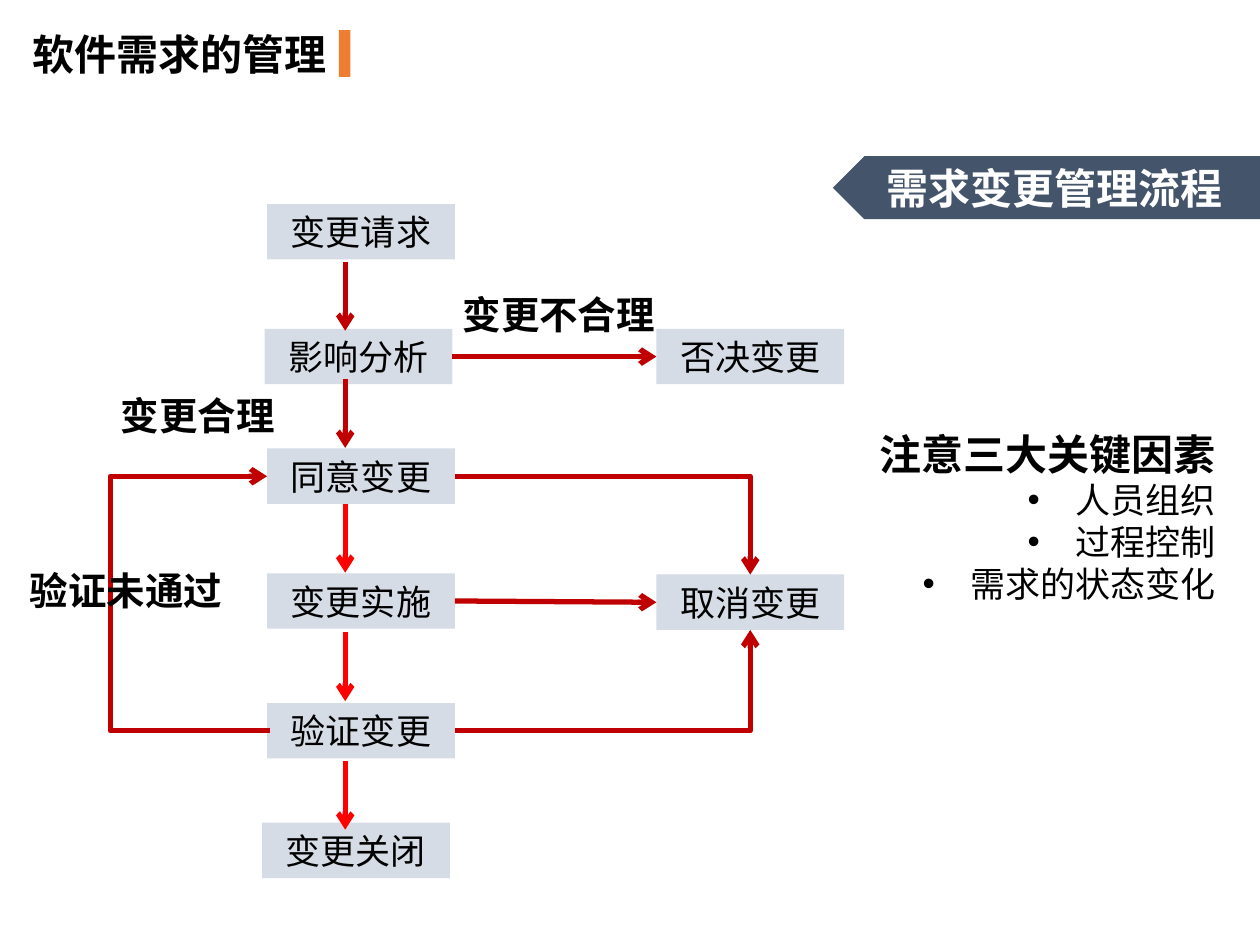
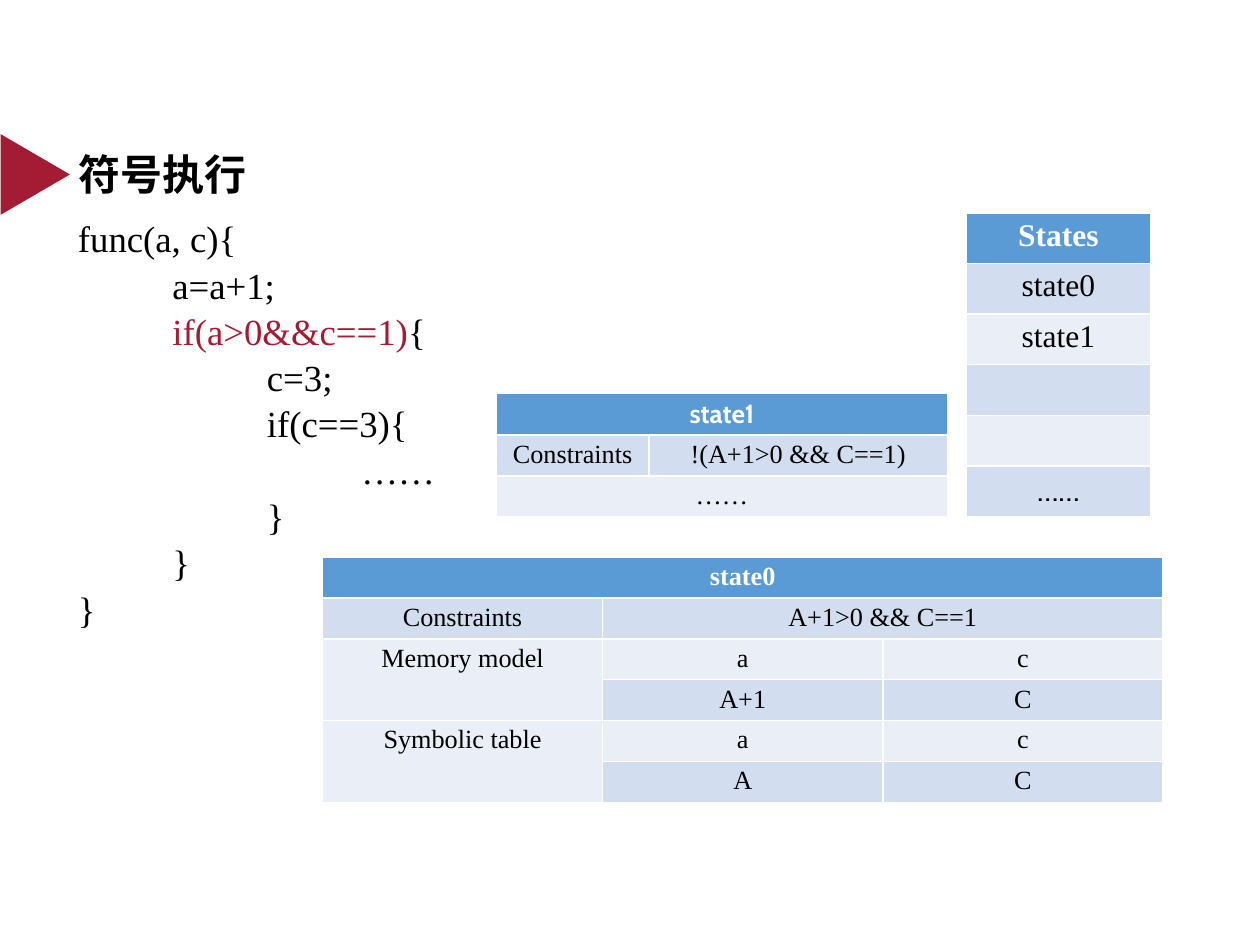
from dataclasses import dataclass

from lxml.etree import SubElement
from pptx import Presentation
from pptx.dml.color import RGBColor
from pptx.enum.shapes import MSO_CONNECTOR as LINK, MSO_SHAPE as SHAPE
from pptx.enum.text import MSO_ANCHOR as ANCHOR, MSO_AUTO_SIZE as FIT, PP_ALIGN as ALIGN
from pptx.oxml.ns import qn
from pptx.util import Emu, Inches, Pt


@dataclass(frozen=True)
class Theme:
    """Colours, fonts and type sizes of the deck."""
    black: str = "000000"
    white: str = "FFFFFF"
    orange: str = "ED7D31"
    slate: str = "44546A"
    node: str = "D6DCE5"
    dark_red: str = "C00000"
    red: str = "FF0000"
    crimson: str = "A41C34"
    header: str = "5B9BD5"
    bands: tuple = ("D2DEEF", "EAEFF7")
    sans: str = "Noto Sans CJK SC"
    serif: str = "Times New Roman"
    alt: str = "Cabin"
    heading: int = 24
    label: int = 22
    code: int = 21
    body: int = 20
    states: int = 18
    cell: int = 15
    arrow: int = 3


T = Theme()
WIDTH, HEIGHT = Inches(10), Inches(7.5)
UNIT = WIDTH // 100


@dataclass(frozen=True)
class Box:
    """A region in grid units, 100 columns by 75 rows to the slide."""
    x: float
    y: float
    w: float
    h: float

    def sub(self, x, y, w, h):
        """Return a box placed relative to this one."""
        return Box(self.x + x, self.y + y, w, h)

    def emu(self):
        """Return left, top, width and height as lengths."""
        return [Emu(round(v * UNIT)) for v in (self.x, self.y, self.w, self.h)]


def apply(obj, **values):
    """Set each named attribute on an object."""
    for name, value in values.items():
        setattr(obj, name, value)


def add_run(p, text, size, color=T.black, font=T.sans, bold=False):
    """Add a run with matching Latin and East Asian fonts."""
    r = p.add_run()
    r.text = text
    r.font.color.rgb = RGBColor.from_string(color)
    apply(r.font, size=Pt(size), bold=bold, name=font)
    SubElement(r.font._element, qn("a:ea"), typeface=font)


def set_frame(tf, wrap=True):
    """Give a text frame a fixed size and middle anchor."""
    apply(tf, word_wrap=wrap, auto_size=FIT.NONE, vertical_anchor=ANCHOR.MIDDLE)


def add_title(slide, box, text, wrap=True):
    """Place the title placeholder and fill it."""
    sp = slide.shapes.title
    apply(sp, **dict(zip(("left", "top", "width", "height"), box.emu())))
    set_frame(sp.text_frame, wrap)
    p = sp.text_frame.paragraphs[0]
    p.alignment = ALIGN.LEFT
    add_run(p, text, T.heading, bold=True)


def add_block(slide, kind, box, fill, text=None, **style):
    """Add a flat preset shape, with centred text if given."""
    sp = slide.shapes.add_shape(kind, *box.emu())
    sp.shadow.inherit = False
    sp.fill.solid()
    sp.fill.fore_color.rgb = RGBColor.from_string(fill)
    sp.line.fill.background()
    set_frame(sp.text_frame)
    if text:
        p = sp.text_frame.paragraphs[0]
        p.alignment = ALIGN.CENTER
        add_run(p, text, **style)
    return sp


def add_label(slide, box, text):
    """Add a bold centred label."""
    tf = slide.shapes.add_textbox(*box.emu()).text_frame
    set_frame(tf)
    tf.paragraphs[0].alignment = ALIGN.CENTER
    add_run(tf.paragraphs[0], text, T.label, bold=True)


def add_arrow(slide, box, start, end, color=T.dark_red, preset=None, via=None):
    """Join two points of a box by a straight or bent arrow."""
    a, b = box.sub(*start, 0, 0), box.sub(*end, 0, 0)
    kind = LINK.ELBOW if preset else LINK.STRAIGHT
    sp = slide.shapes.add_connector(kind, *a.emu()[:2], *b.emu()[:2])
    sp.line.color.rgb = RGBColor.from_string(color)
    sp.line.width = Pt(T.arrow)
    props = sp.element.spPr
    SubElement(props.find(qn("a:ln")), qn("a:tailEnd"), type="arrow")
    SubElement(props, qn("a:effectLst"))
    if preset:
        geom = props.find(qn("a:prstGeom"))
        geom.set("prst", preset)
        if via is not None:
            ratio = round((start[0] - via) / (start[0] - end[0]) * 100000)
            SubElement(geom.find(qn("a:avLst")), qn("a:gd"), name="adj1", fmla=f"val {ratio}")


def add_flow(slide, box):
    """Draw the change process with its branches and loop."""
    left, side, w, h = 20.3, 51.2, 14.9, 4.4
    right, side_mid, stem = left + w, side + w / 2, 26.5
    nodes = [("变更请求", left, 0), ("影响分析", left - 0.2, 9.9), ("同意变更", left, 19.4),
             ("变更实施", left, 29.3), ("验证变更", left, 39.6), ("变更关闭", left - 0.4, 49.1),
             ("取消变更", side, 29.4), ("否决变更", side, 9.9)]
    for text, x, y in nodes:
        add_block(slide, SHAPE.RECTANGLE, box.sub(x, y, w, h), T.node, text, size=T.body)
    for i, y in enumerate((4.6, 13.9, 23.8, 34, 44.2)):
        color = T.dark_red if i < 2 else T.red
        add_arrow(slide, box, (stem, y), (stem, y + 5.45), color)
    add_arrow(slide, box, (right - 0.2, 12.1), (side, 12.1))
    add_arrow(slide, box, (right, 31.5), (side, 31.6))
    for y, end in ((41.8, 33.8), (21.6, 29.4)):
        add_arrow(slide, box, (right, y), (side_mid, end), preset="bentConnector2")
    add_arrow(slide, box, (left + 0.2, 41.8), (left, 21.6), preset="bentConnector3", via=7.9)
    for text, x, y, width in (("验证未通过", 0, 28.3, 18.2), ("变更不合理", 34.3, 6.4, 18.3),
                              ("变更合理", 6.8, 14.4, 16)):
        add_label(slide, box.sub(x, y, width, 4.7), text)


def add_factors(slide, box, heading, items):
    """Fill the body placeholder with a heading and a right-aligned list."""
    sp = slide.placeholders[1]
    apply(sp, **dict(zip(("left", "top", "width", "height"), box.emu())))
    tf = sp.text_frame
    set_frame(tf)
    for i, text in enumerate([heading, *items]):
        p = tf.add_paragraph() if i else tf.paragraphs[0]
        apply(p, alignment=ALIGN.RIGHT, line_spacing=1.0, space_before=Pt(0))
        indent = Inches(0.38) if i else 0
        pr = p._p.get_or_add_pPr()
        pr.set("marL", str(indent))
        pr.set("indent", str(-indent))
        if i:
            SubElement(pr, qn("a:buChar"), char="•")
        else:
            SubElement(pr, qn("a:buNone"))
        add_run(p, text, T.body if i else T.heading, bold=not i)


def add_code(slide, box, lines):
    """Write code lines, each a level and coloured pieces."""
    tf = slide.shapes.add_textbox(*box.emu()).text_frame
    set_frame(tf)
    for i, (level, *pieces) in enumerate(lines):
        p = tf.add_paragraph() if i else tf.paragraphs[0]
        p.line_spacing = 1.05
        p._p.get_or_add_pPr().set("marL", str(Inches(0.75) * level))
        for text, color in pieces:
            add_run(p, text, T.code, color, T.serif)


def add_grid(slide, box, rows, size, shares, merges=(), alt=()):
    """Add a banded table; merges are cell corners, alt cells use the second font."""
    table = slide.shapes.add_table(len(rows), len(shares), *box.emu()).table
    for col, share in zip(table.columns, shares):
        col.width = Emu(round(box.w * UNIT * share / sum(shares)))
    for row in table.rows:
        row.height = Emu(round(box.h * UNIT / len(rows)))
    for top, left, bottom, right in merges:
        table.cell(top, left).merge(table.cell(bottom, right))
    for i, row in enumerate(rows):
        for j, text in enumerate(row):
            cell = table.cell(i, j)
            apply(cell, margin_left=Inches(0.07), margin_right=Inches(0.07),
                  margin_top=Inches(0.04), margin_bottom=Inches(0.04))
            cell.fill.solid()
            fill = T.bands[(i - 1) % 2] if i else T.header
            cell.fill.fore_color.rgb = RGBColor.from_string(fill)
            if text:
                p = cell.text_frame.paragraphs[0]
                p.alignment = ALIGN.CENTER
                add_run(p, text, size, T.black if i else T.white,
                        T.alt if (i, j) in alt else T.serif, not i)


def build_process(prs):
    """Build the change management slide."""
    slide = prs.slides.add_slide(prs.slide_layouts[1])
    add_title(slide, Box(1.6, 1.8, 34.2, 5), "软件需求的管理")
    add_block(slide, SHAPE.RECTANGLE, Box(26.9, 2.4, 0.9, 3.7), T.orange)
    banner = add_block(slide, SHAPE.PENTAGON, Box(66.1, 12.4, 33.9, 5), T.slate,
                       "需求变更管理流程", size=T.heading, color=T.white, bold=True)
    banner.element.spPr.find(qn("a:xfrm")).set("flipH", "1")
    add_flow(slide, Box(0.9, 16.2, 66.1, 53.5))
    add_factors(slide, Box(66.1, 31.6, 31.4, 18.8), "注意三大关键因素",
                ["人员组织", "过程控制", "需求的状态变化"])


def build_symbolic(prs):
    """Build the symbolic execution slide."""
    slide = prs.slides.add_slide(prs.slide_layouts[5])
    add_title(slide, Box(5.2, 11.3, 15.5, 5), "符号执行", wrap=False)
    add_block(slide, SHAPE.ISOSCELES_TRIANGLE, Box(-0.4, 11.1, 6.4, 5.5), T.crimson).rotation = 90
    add_code(slide, Box(5.2, 17.1, 40.8, 32.8), [
        (0, ("func(a, c){", T.black)),
        (1, ("a=a+1;", T.black)),
        (1, ("if(a>0&&c==1)", T.crimson), ("{", T.black)),
        (2, ("c=3;", T.black)),
        (2, ("if(c==3){", T.black)),
        (3, ("……", T.black)),
        (2, ("}", T.black)),
        (1, ("}", T.black)),
        (0, ("}", T.black))])
    add_grid(slide, Box(76.7, 16.9, 14.6, 24.1),
             [["States"], ["state0"], ["state1"], [""], [""], ["……"]],
             T.states, [1], alt=[(5, 0)])
    add_grid(slide, Box(25.6, 44.2, 66.7, 19.5),
             [["state0", "", ""], ["Constraints", "A+1>0 && C==1", ""],
              ["Memory model", "a", "c"], ["", "A+1", "C"],
              ["Symbolic table", "a", "c"], ["", "A", "C"]],
             T.cell, [1, 1, 1],
             merges=[(0, 0, 0, 2), (1, 1, 1, 2), (2, 0, 3, 0), (4, 0, 5, 0)])
    add_grid(slide, Box(39.4, 31.2, 35.8, 9.7),
             [["state1", ""], ["Constraints", "!(A+1>0 && C==1)"], ["……", ""]],
             T.cell, [1.21, 2.37], merges=[(0, 0, 0, 1), (2, 0, 2, 1)], alt=[(0, 0)])


def main():
    """Build and save the deck."""
    prs = Presentation()
    apply(prs, slide_width=WIDTH, slide_height=HEIGHT)
    build_process(prs)
    build_symbolic(prs)
    prs.save("out.pptx")


if __name__ == "__main__":
    main()
